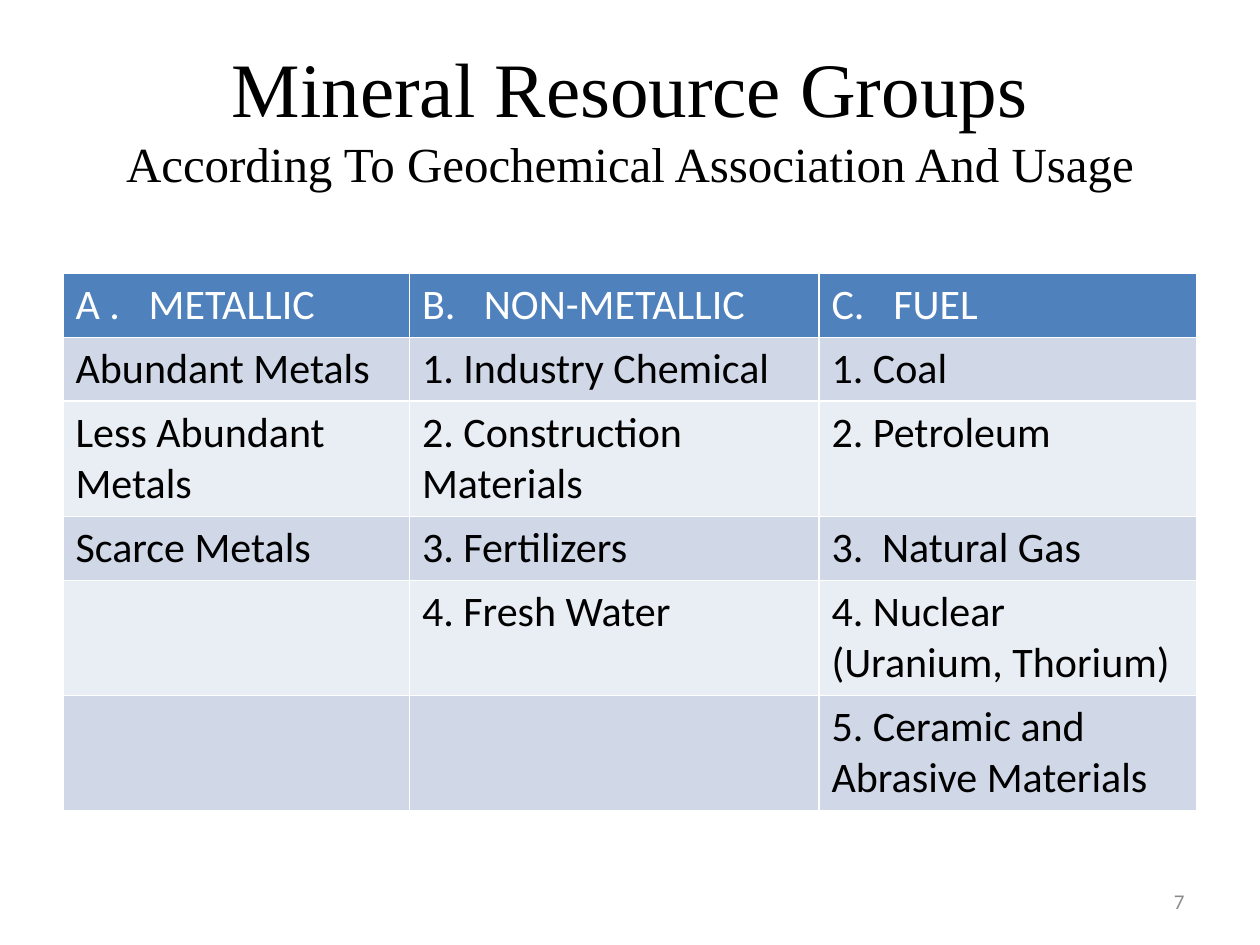
"""Builds the slide on mineral resource groups."""
import lxml.etree
import pptx
import pptx.dml.color
import pptx.enum.text
import pptx.oxml.ns
import pptx.util

Inches = pptx.util.Inches
Align = pptx.enum.text.PP_ALIGN
Anchor = pptx.enum.text.MSO_ANCHOR

COLORS = {
    "black": "000000",
    "white": "FFFFFF",
    "gray": "8C8C8C",
    "header": "4F81BD",
    "odd_row": "D0D8E8",
    "even_row": "E9EDF4",
}
COLUMN_WIDTHS = [2.75, 3.25, 3]
ROW_HEIGHT = 0.41
TAB_STOPS = {"A .": 0.58, "B.": 0.49, "C.": 0.49, "3.": 0.4}
ROWS = [
    ["A .\tMETALLIC", "B.\tNON-METALLIC", "C.\tFUEL"],
    ["Abundant Metals", "1. Industry Chemical", "1. Coal"],
    ["Less Abundant Metals", "2. Construction Materials", "2. Petroleum"],
    ["Scarce Metals", "3. Fertilizers", "3.\tNatural Gas"],
    ["", "4. Fresh Water", "4. Nuclear (Uranium, Thorium)"],
    ["", "", "5. Ceramic and Abrasive Materials"],
]


class SlideBuilder:
    def __init__(self, slide):
        self.slide = slide
        self.title_font = "Times New Roman"
        self.body_font = "Calibri"

    def style(self, font, name, size, color):
        font.name = name
        font.size = pptx.util.Pt(size)
        font.bold = False
        font.color.rgb = pptx.dml.color.RGBColor.from_string(COLORS[color])

    def add_tab_stop(self, paragraph, position):
        qn = pptx.oxml.ns.qn
        properties = paragraph._p.get_or_add_pPr()
        tab_list = lxml.etree.SubElement(properties, qn("a:tabLst"))
        lxml.etree.SubElement(tab_list, qn("a:tab"), pos=str(Inches(position)), algn="l")

    def title(self, heading, subtitle, left, top, width, height):
        shape = self.slide.shapes.title
        shape.left, shape.top = Inches(left), Inches(top)
        shape.width, shape.height = Inches(width), Inches(height)
        shape.text_frame.vertical_anchor = Anchor.MIDDLE
        paragraph = shape.text_frame.paragraphs[0]
        paragraph.alignment = Align.CENTER
        for text, size in ((heading, 44), (subtitle, 28)):
            if paragraph.runs:
                paragraph.add_line_break()
            run = paragraph.add_run()
            run.text = text
            self.style(run.font, self.title_font, size, "black")

    def table(self, rows, widths, left, top):
        table = self.slide.shapes.add_table(
            len(rows), len(widths), Inches(left), Inches(top),
            Inches(sum(widths)), Inches(ROW_HEIGHT * len(rows)),
        ).table
        for column, width in zip(table.columns, widths):
            column.width = Inches(width)
        for row_index, row in enumerate(rows):
            band = "odd_row" if row_index % 2 else "even_row"
            fill = band if row_index else "header"
            color = "black" if row_index else "white"
            for column_index, text in enumerate(row):
                self.cell(table.cell(row_index, column_index), text, fill, color)

    def cell(self, cell, text, fill, color):
        cell.fill.solid()
        cell.fill.fore_color.rgb = pptx.dml.color.RGBColor.from_string(COLORS[fill])
        paragraph = cell.text_frame.paragraphs[0]
        if text:
            paragraph.text = text
        if "\t" in text:
            self.add_tab_stop(paragraph, TAB_STOPS[text.split("\t")[0]])
        self.style(paragraph.font, self.body_font, 24, color)

    def page_number(self, text, left, top, width, height):
        shape = self.slide.shapes.add_textbox(
            Inches(left), Inches(top), Inches(width), Inches(height))
        shape.text_frame.word_wrap = True
        shape.text_frame.vertical_anchor = Anchor.MIDDLE
        paragraph = shape.text_frame.paragraphs[0]
        paragraph.text = text
        paragraph.alignment = Align.RIGHT
        self.style(paragraph.font, self.body_font, 12, "gray")


def main():
    presentation = pptx.Presentation()
    presentation.slide_width = Inches(10)
    presentation.slide_height = Inches(7.5)
    builder = SlideBuilder(presentation.slides.add_slide(presentation.slide_layouts[5]))
    builder.title("Mineral Resource Groups",
                  "According To Geochemical Association And Usage", 0.5, 0.3, 9, 1.25)
    builder.table(ROWS, COLUMN_WIDTHS, 0.5, 2.17)
    builder.page_number("7", 7.17, 6.95, 2.33, 0.4)
    presentation.save("out.pptx")


if __name__ == "__main__":
    main()
